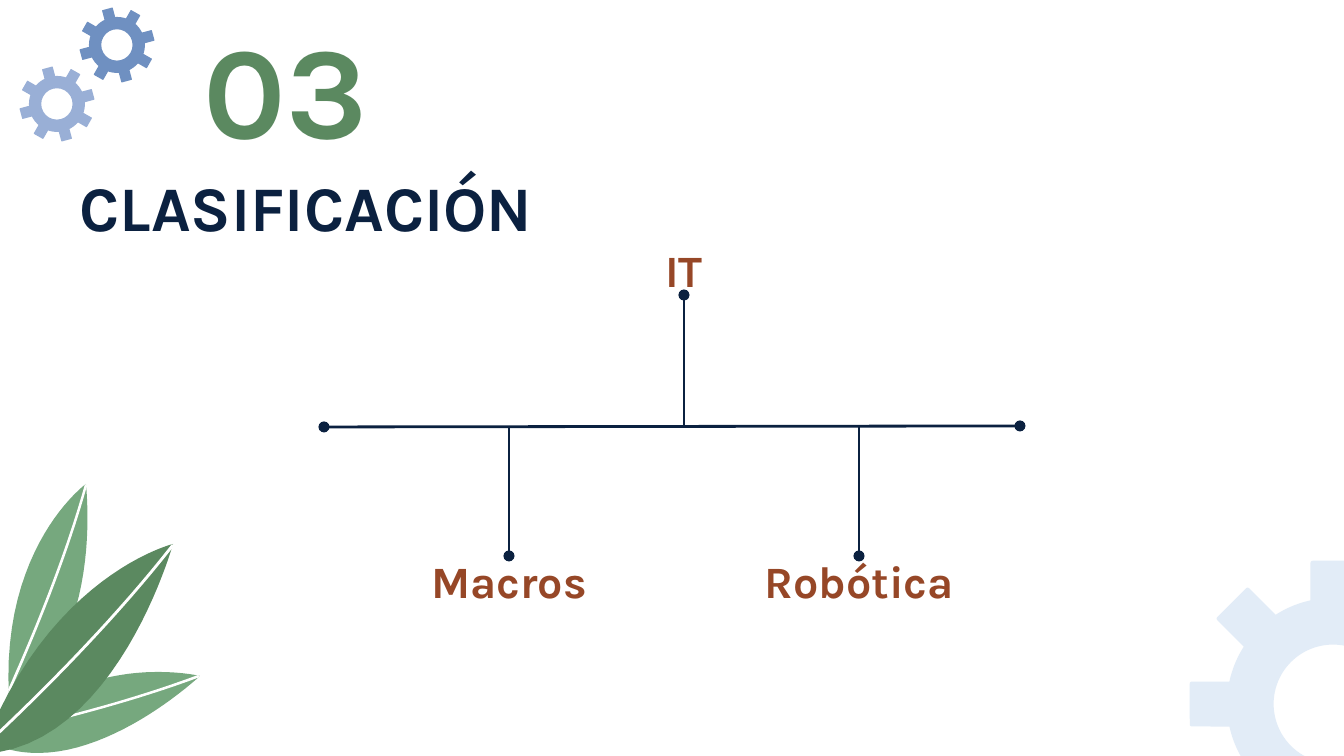
from math import cos, radians, sin

from pptx import Presentation
from pptx.dml.color import RGBColor
from pptx.enum.shapes import MSO_CONNECTOR, MSO_SHAPE
from pptx.enum.text import MSO_ANCHOR, PP_ALIGN
from pptx.oxml.ns import qn
from pptx.util import Pt
from lxml.etree import SubElement

PX = 914400 / 134.4
NAVY, RUST, GREEN, LIGHT = "0B2140", "964727", "5B8960", "76A87E"
WHITE, PALE, LILAC, BLUE = "FFFFFF", "E2ECF7", "99AFD6", "6F90C1"


def px(n):
    return round(n * PX)


def color(code):
    return RGBColor.from_string(code)


def paint(shape, code):
    shape.shadow.inherit = False
    shape.fill.solid()
    shape.fill.fore_color.rgb = color(code)
    shape.line.fill.background()


def put_text(slide, box, text, size=24, code=RUST, align=PP_ALIGN.CENTER,
             anchor=MSO_ANCHOR.TOP):
    shape = slide.shapes.add_textbox(*map(px, box))
    frame = shape.text_frame
    frame.word_wrap = True
    frame.vertical_anchor = anchor
    frame.margin_left = frame.margin_right = px(13)
    frame.margin_top = frame.margin_bottom = px(13)
    para = frame.paragraphs[0]
    para.alignment = align
    run = para.add_run()
    run.text = text
    font = run.font
    font.name, font.size, font.bold = "Karla", Pt(size), True
    font.color.rgb = color(code)
    return shape


def add_gear(slide, x, y, radius, code, angles, tooth):
    """Draw a ring centred at x, y with square teeth at the given angles."""
    ring = slide.shapes.add_shape(
        MSO_SHAPE.DONUT, px(x - radius), px(y - radius),
        px(2 * radius), px(2 * radius))
    ring.adjustments[0] = 0.22
    paint(ring, code)
    reach = 1.14 * radius
    for angle in angles:
        left = x + reach * cos(radians(angle)) - tooth / 2
        top = y + reach * sin(radians(angle)) - tooth / 2
        cog = slide.shapes.add_shape(
            MSO_SHAPE.ROUNDED_RECTANGLE, px(left), px(top),
            px(tooth), px(tooth))
        cog.adjustments[0] = 0.05
        cog.rotation = angle
        paint(cog, code)


def trace(start, curves, steps=24):
    """Return points along joined cubic Bezier curves."""
    points = [start]
    for a, b, end in curves:
        first = points[-1]
        for i in range(1, steps + 1):
            t = i / steps
            u = 1 - t
            points.append(tuple(
                u**3 * p + 3 * u * u * t * q + 3 * u * t * t * r + t**3 * s
                for p, q, r, s in zip(first, a, b, end)))
    return points


def add_shape(slide, left, top, points, code):
    points = [(px(x), px(y)) for x, y in points]
    build = slide.shapes.build_freeform(*points[0])
    build.add_line_segments(points[1:], close=True)
    paint(build.convert_to_shape(px(left), px(top)), code)


def add_plant(slide, left, top):
    leaves = [
        (LIGHT, (86, 0),
         [((86, 0), (1, 62), (9, 212)), ((105, 166), (86, 0), (86, 0))],
         (85, 0), ((57, 101), (8, 204), (8, 206))),
        (LIGHT, (157, 188),
         [((118, 188), (54, 199), (-16, 255)),
          ((1, 265), (19, 269), (38, 269)),
          ((118, 269), (200, 192), (200, 192)),
          ((200, 192), (184, 188), (157, 188))],
         (198, 191), ((102, 227), (-11, 250), (-12, 250))),
        (GREEN, (173, 60),
         [((173, 60), (47, 91), (-19, 270)), ((116, 265), (173, 60), (173, 60))],
         (172, 60), ((91, 164), (-16, 260), (-17, 262))),
    ]
    for code, start, curves, tip, bend in leaves:
        add_shape(slide, left, top, trace(start, curves), code)
        edge = trace(tip, [bend])
        back = [(x + 2, y + 2) for x, y in reversed(edge)]
        add_shape(slide, left, top, edge + back, WHITE)


def add_line(slide, start, end, ends=("tail",), label=None, site=0):
    """Draw a line with round ends, joined to a label if one is given."""
    line = slide.shapes.add_connector(
        MSO_CONNECTOR.STRAIGHT, *map(px, start + end))
    if label is not None:
        line.end_connect(label, site)
    line.line.width = Pt(1.5)
    line.line.color.rgb = color(NAVY)
    props = line._element.spPr
    for end_name in ends:
        SubElement(props.find(qn("a:ln")), qn(f"a:{end_name}End"), type="oval")
    SubElement(props, qn("a:effectLst"))


def add_tree(slide, left, top):
    bar = top + 181
    wide, high = 266, 50
    for text, x, y, site in [("Macros", 185, 311, 0),
                             ("Robótica", 535, 311, 0),
                             ("IT", 360, 0, 2)]:
        label = put_text(slide, (left + x - wide // 2, top + y, wide, high),
                         text, anchor=MSO_ANCHOR.MIDDLE)
        tip = top + y + (high if site else 0)
        add_line(slide, (left + x, bar), (left + x, tip),
                 label=label, site=site)
    add_line(slide, (left, bar + 1), (left + 696, bar), ("head", "tail"))


def main():
    deck = Presentation()
    deck.slide_width, deck.slide_height = px(1344), px(756)
    slide = deck.slides.add_slide(deck.slide_layouts[6])
    add_gear(slide, 1333, 704, 106, PALE, range(180, 271, 45), 45)
    for x, y, code in [(57, 104, LILAC), (117, 45, BLUE)]:
        add_gear(slide, x, y, 28, code, range(-15, 345, 45), 11)
    put_text(slide, (-262, 155, 1136, 85), "CLASIFICACIÓN", size=34, code=NAVY)
    add_tree(slide, 324, 245)
    add_plant(slide, 0, 484)
    put_text(slide, (191, -5, 441, 185), "03", size=70, code=GREEN,
             align=PP_ALIGN.LEFT)
    deck.save("out.pptx")


if __name__ == "__main__":
    main()
